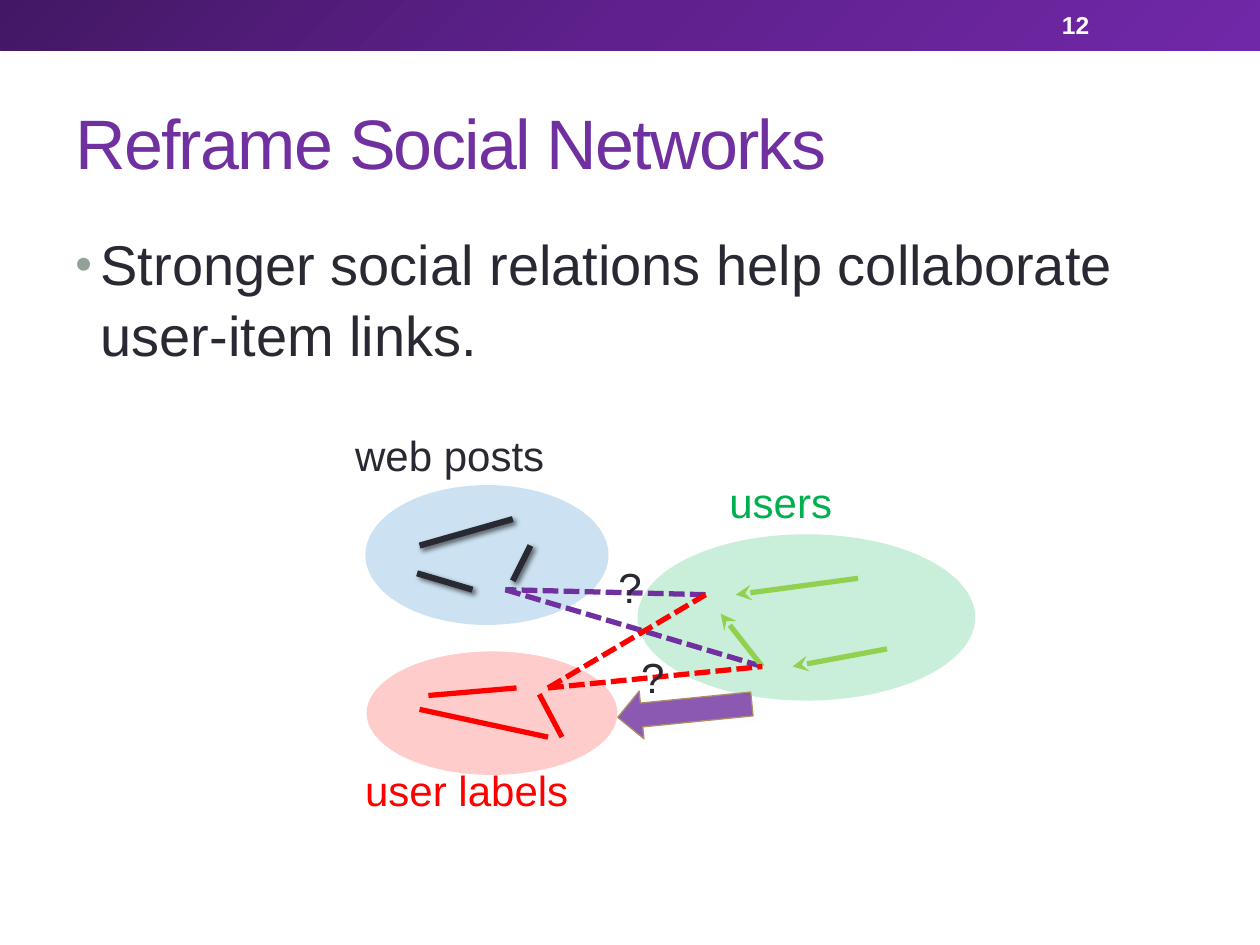
from lxml.etree import SubElement
from pptx import Presentation
from pptx.dml.color import RGBColor
from pptx.enum.dml import MSO_LINE
from pptx.enum.shapes import MSO_CONNECTOR, MSO_SHAPE
from pptx.enum.text import MSO_ANCHOR
from pptx.oxml.ns import qn
from pptx.util import Emu, Inches, Pt

PURPLE, INK, GREEN, LIME, RED, BLUE = "7030A0", "292934", "00B050", "92D050", "FF0000", "0070C0"
BANNER_STOPS = [(0, "431764"), (50, "5F218E"), (100, "7128A8")]

# Networks: box, colour, opacity %
POSTS = ((2.9, 3.85, 1.93, 1.11), BLUE, 20)
USERS = ((5.06, 4.24, 2.68, 1.32), GREEN, 21)
LABELS = ((2.91, 5.17, 1.99, 0.98), RED, 20)

# Nodes shared by the links between networks
POST, LABEL, USER_TOP, USER_LOW = (4.01, 4.68), (4.35, 5.46), (5.6, 4.72), (6.05, 5.29)

# Links: start, end
USER_LINKS = [((6.29, 5.29), (7.04, 5.15)), ((5.84, 4.72), (6.81, 4.59)),
              ((5.72, 4.87), USER_LOW)]
POST_LINKS = [((3.33, 4.33), (4.07, 4.12)), ((3.31, 4.55), (3.75, 4.68)),
              ((4.07, 4.61), (4.21, 4.33))]
LABEL_LINKS = [((3.33, 5.63), (4.35, 5.85)), ((3.4, 5.52), (4.1, 5.46)),
               ((4.28, 5.51), (4.46, 5.85))]
POST_USER_LINKS = [(USER_TOP, POST), (USER_LOW, POST)]
LABEL_USER_LINKS = [(LABEL, USER_LOW), (LABEL, USER_TOP)]

# Captions: text, left, top, width, colour
CAPTIONS = [("web posts", 2.72, 3.36, 2.29, INK), ("users", 5.69, 3.73, 1.42, GREEN),
            ("user labels", 2.8, 6.02, 2.23, RED),
            ("?", 4.81, 4.41, 0.42, INK), ("?", 4.99, 5.12, 0.42, INK)]

prs = Presentation()
prs.slide_width, prs.slide_height = Inches(10), Inches(7.5)
slide = prs.slides.add_slide(prs.slide_layouts[6])
shapes = slide.shapes


def rgb(color):
    return RGBColor.from_string(color)


def sub(parent, tag, **attrs):
    return SubElement(parent, qn(tag), {k: str(v) for k, v in attrs.items()})


def set_alpha(fill, percent):
    color = fill._xPr.find(".//" + qn("a:srgbClr"))
    sub(color, "a:alpha", val=percent * 1000)


def add_shadow(effects, color, alpha, blur, dist, angle):
    shadow = sub(effects, "a:outerShdw", blurRad=Pt(blur), dist=Pt(dist),
                 dir=angle * 60000, algn="ctr", rotWithShape=0)
    sub(sub(shadow, "a:srgbClr", val=color), "a:alpha", val=alpha * 1000)


def add_shape(kind, box):
    shape = shapes.add_shape(kind, *map(Inches, box))
    shape.shadow.inherit = False
    shape.line.fill.background()
    return shape


def add_network(box, color, opacity):
    network = add_shape(MSO_SHAPE.OVAL, box)
    network.fill.solid()
    network.fill.fore_color.rgb = rgb(color)
    set_alpha(network.fill, opacity)


def add_links(links, color, width=3, dashed=False, arrow=False, shadow=None):
    for start, end in links:
        link = shapes.add_connector(MSO_CONNECTOR.STRAIGHT, *map(Inches, start + end))
        link.line.color.rgb = rgb(color)
        link.line.width = Pt(width)
        if dashed:
            link.line.dash_style = MSO_LINE.SQUARE_DOT
        if arrow:
            sub(link.line._get_or_add_ln(), "a:headEnd", type="stealth")
        effects = sub(link._element.spPr, "a:effectLst")
        if shadow:
            add_shadow(effects, *shadow)


def add_text(text, box, size, color, anchor=MSO_ANCHOR.TOP, bold=False):
    frame = shapes.add_textbox(*map(Inches, box)).text_frame
    frame.word_wrap = True
    frame.vertical_anchor = anchor
    paragraph = frame.paragraphs[0]
    paragraph.text = text
    font = paragraph.runs[0].font
    font.name, font.size, font.bold, font.color.rgb = "Arial", Pt(size), bold, rgb(color)
    return paragraph


# Banner with slide number
banner = add_shape(MSO_SHAPE.RECTANGLE, (0, 0, 10, 0.4))
banner.fill.gradient()
banner.fill.gradient_angle = 315
stops = banner._element.spPr.find(".//" + qn("a:gsLst"))
for stop in list(stops):
    stops.remove(stop)
for position, color in BANNER_STOPS:
    sub(sub(stops, "a:gs", pos=position * 1000), "a:srgbClr", val=color)
add_text("12", (8.33, 0.02, 1.17, 0.36), 14, "FFFFFF", MSO_ANCHOR.MIDDLE, True)

# Title and bullet
title = add_text("Reframe Social Networks", (0.5, 0.58, 9, 1.08), 40, PURPLE, MSO_ANCHOR.MIDDLE)
title.runs[0].font._element.set("spc", "-100")

point = add_text("Stronger social relations help collaborate user-item links.",
                 (0.5, 1.75, 9, 5.33), 32, INK)
point.line_spacing = 1.05
props = point._p.get_or_add_pPr()
props.set("marL", str(Inches(0.2)))
props.set("indent", str(-Inches(0.2)))
sub(sub(props, "a:buClr"), "a:srgbClr", val="93A299")
sub(props, "a:buSzPct", val=85000)
sub(props, "a:buFont", typeface="Arial")
sub(props, "a:buChar", char="•")

# Networks and their links, back to front
add_network(*USERS)
add_links(USER_LINKS[:2], LIME, arrow=True)
add_network(*POSTS)
add_links(POST_LINKS, INK, width=3.5, shadow=("000000", 60, 3, 2, 45))
add_links(POST_USER_LINKS, PURPLE, dashed=True)
add_links(USER_LINKS[2:], LIME, arrow=True)
add_network(*LABELS)
add_links(LABEL_LINKS, RED)
add_links(LABEL_USER_LINKS, RED, dashed=True)

# Arrow from users to labels
transfer = add_shape(MSO_SHAPE.RIGHT_ARROW, (4.9, 5.45, 1.07, 0.38))
transfer.rotation = 174.3
transfer.fill.solid()
transfer.fill.fore_color.rgb = rgb(PURPLE)
set_alpha(transfer.fill, 80)
transfer.line.color.rgb = rgb("AD8F67")
transfer.line.width = Pt(0.75)
add_shadow(transfer._element.spPr.find(qn("a:effectLst")), "FFFFFF", 38, 3.1, 1.6, 90)

# Captions
for text, left, top, width, color in CAPTIONS:
    add_text(text, (left, top, width, 0.5), 24, color)

prs.save("out.pptx")
